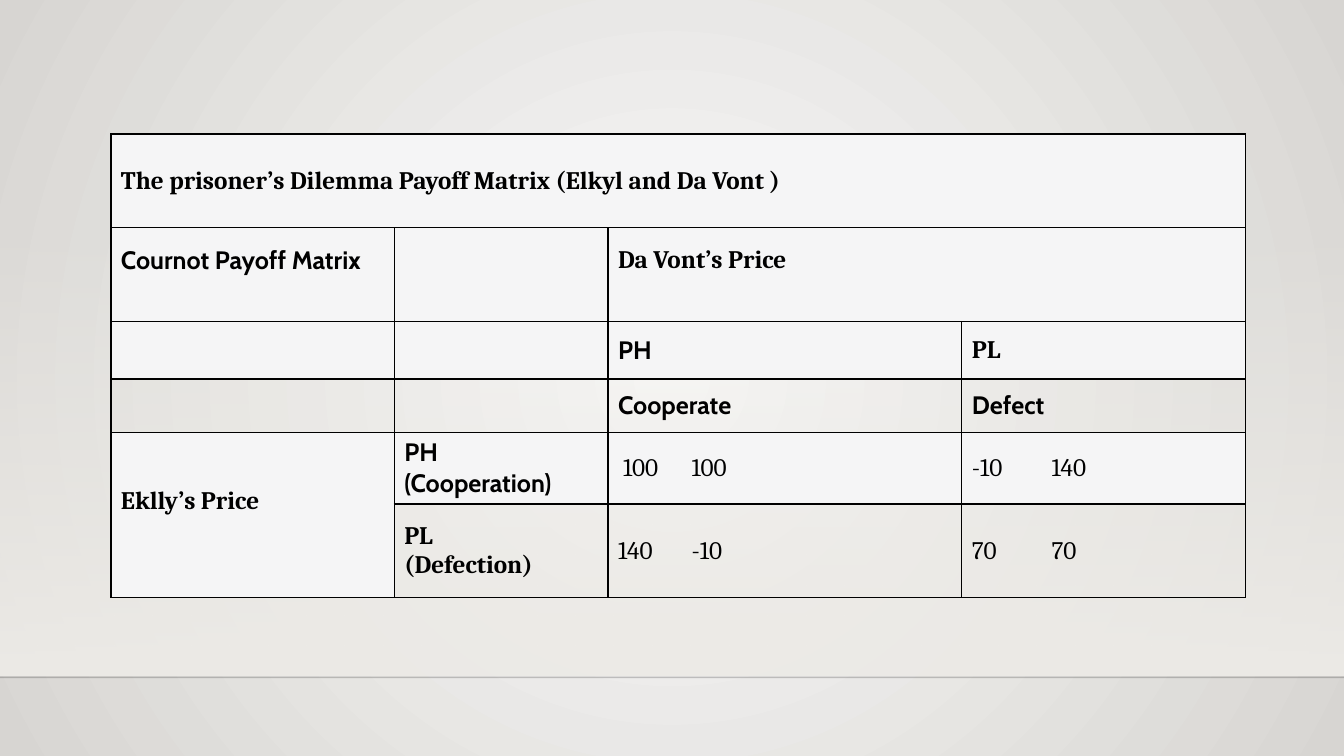
from lxml.etree import SubElement
from pptx import Presentation
from pptx.dml.color import RGBColor
from pptx.enum.shapes import MSO_CONNECTOR, MSO_SHAPE
from pptx.enum.text import MSO_ANCHOR
from pptx.oxml import parse_xml
from pptx.oxml.ns import nsdecls, qn
from pptx.util import Inches, Pt

BLACK = RGBColor(0x00, 0x00, 0x00)
CELL_GREY = RGBColor(0xF5, 0xF5, 0xF6)
BACKDROP_CENTRE = RGBColor(0xFA, 0xFA, 0xF9)
BACKDROP_EDGE = RGBColor(0xD7, 0xD5, 0xD2)
FLOOR = RGBColor(0xED, 0xEB, 0xE7)
SERIF, SANS = "Cambria", "Cabin"

COLUMN_WIDTHS = (2.81, 2.12, 3.51, 2.81)
ROW_HEIGHTS = (0.93, 0.93, 0.57, 0.53, 0.71, 0.93)
MERGES = (((0, 0), (0, 3)), ((1, 2), (1, 3)), ((4, 0), (5, 0)))
CLEAR_CELLS = {(3, column) for column in range(4)} | {(5, 1), (5, 2), (5, 3)}

LABELS = {
    (0, 0): dict(text="The prisoner’s Dilemma Payoff Matrix (Elkyl and Da Vont )"),
    (1, 0): dict(text="Cournot Payoff Matrix", font=SANS, raised=0.28),
    (1, 2): dict(text="Da Vont’s Price", raised=0.28),
    (2, 2): dict(text="PH", font=SANS),
    (2, 3): dict(text="PL"),
    (3, 2): dict(text="Cooperate", font=SANS),
    (3, 3): dict(text="Defect", font=SANS),
    (4, 0): dict(text="Eklly’s Price", raised=0.28),
    (4, 1): dict(text="PH\n(Cooperation)", font=SANS),
    (5, 1): dict(text="PL\n(Defection)"),
}
PAYOFFS = {
    (4, 2): dict(text="100\t100", indent=0.05, tab=0.73),
    (4, 3): dict(text="-10\t140", tab=0.79),
    (5, 2): dict(text="140\t-10", tab=0.73),
    (5, 3): dict(text="70\t70", tab=0.79),
}


def set_alpha(color_element, percent):
    SubElement(color_element, qn("a:alpha"), val=str(percent * 1000))


def set_gradient(fill, first, last):
    fill.gradient()
    for stop, color, position in zip(fill.gradient_stops, (first, last), (0, 1)):
        stop.color.rgb = color
        stop.position = position


def paint_background(slide):
    set_gradient(slide.background.fill, BACKDROP_CENTRE, BACKDROP_EDGE)
    linear = next(slide.background._cSld.iter(qn("a:lin")))
    linear.getparent().replace(linear, parse_xml(
        f'<a:path {nsdecls("a")} path="circle">'
        '<a:fillToRect l="50000" t="50000" r="50000" b="50000"/></a:path>'))


def add_floor(slide, width):
    """Add the band that fades in downwards and the thin line at its foot."""
    band = slide.shapes.add_shape(
        MSO_SHAPE.RECTANGLE, 0, Inches(2.2), width, Inches(4.5))
    band.shadow.inherit = False
    band.line.fill.background()
    set_gradient(band.fill, FLOOR, FLOOR)
    band.fill.gradient_angle = 270
    set_alpha(next(band._element.spPr.iter(qn("a:srgbClr"))), 0)

    edge = slide.shapes.add_connector(
        MSO_CONNECTOR.STRAIGHT, 0, Inches(6.72), width, Inches(6.72))
    edge.line.color.rgb = BLACK
    edge.line.width = Pt(1)
    set_alpha(next(edge._element.spPr.iter(qn("a:srgbClr"))), 20)
    SubElement(edge._element.spPr, qn("a:effectLst"))


def set_borders(cell):
    properties = cell._tc.get_or_add_tcPr()
    for index, side in enumerate(("lnL", "lnR", "lnT", "lnB")):
        properties.insert(index, parse_xml(
            f'<a:{side} {nsdecls("a")} w="{Pt(1)}"><a:solidFill>'
            f'<a:srgbClr val="{BLACK}"/></a:solidFill></a:{side}>'))


def write(cell, text, font=SERIF, size=18, bold=True, raised=0, indent=0, tab=None):
    """Write one paragraph per line; raised lifts the text above the middle."""
    cell.margin_bottom = Inches(0.05 + raised)
    cell.margin_left = Inches(0.1 + indent)
    frame = cell.text_frame
    for number, line in enumerate(text.split("\n")):
        para = frame.add_paragraph() if number else frame.paragraphs[0]
        if tab:
            tabs = SubElement(para._p.get_or_add_pPr(), qn("a:tabLst"))
            SubElement(tabs, qn("a:tab"), pos=str(Inches(tab - indent)), algn="l")
        span = para.add_run()
        span.text = line
        span.font.name = font
        span.font.size = Pt(size)
        span.font.bold = bold
        span.font.color.rgb = BLACK


def add_payoff_table(slide):
    frame = slide.shapes.add_table(
        len(ROW_HEIGHTS), len(COLUMN_WIDTHS), Inches(1.1), Inches(1.33),
        Inches(sum(COLUMN_WIDTHS)), Inches(sum(ROW_HEIGHTS)))
    table = frame.table
    table.first_row = table.horz_banding = False
    for column, width in zip(table.columns, COLUMN_WIDTHS):
        column.width = Inches(width)
    for row_index, (row, height) in enumerate(zip(table.rows, ROW_HEIGHTS)):
        row.height = Inches(height)
        for column_index, cell in enumerate(row.cells):
            cell.vertical_anchor = MSO_ANCHOR.MIDDLE
            if (row_index, column_index) in CLEAR_CELLS:
                cell.fill.background()
            else:
                cell.fill.solid()
                cell.fill.fore_color.rgb = CELL_GREY
            set_borders(cell)
    for first, last in MERGES:
        table.cell(*first).merge(table.cell(*last))
    for place, label in LABELS.items():
        write(table.cell(*place), **label)
    for place, payoff in PAYOFFS.items():
        write(table.cell(*place), bold=False, **payoff)


def main():
    deck = Presentation()
    deck.slide_width, deck.slide_height = Inches(13.33), Inches(7.5)
    slide = deck.slides.add_slide(deck.slide_layouts[6])
    paint_background(slide)
    add_floor(slide, deck.slide_width)
    add_payoff_table(slide)
    deck.save("out.pptx")


if __name__ == "__main__":
    main()
